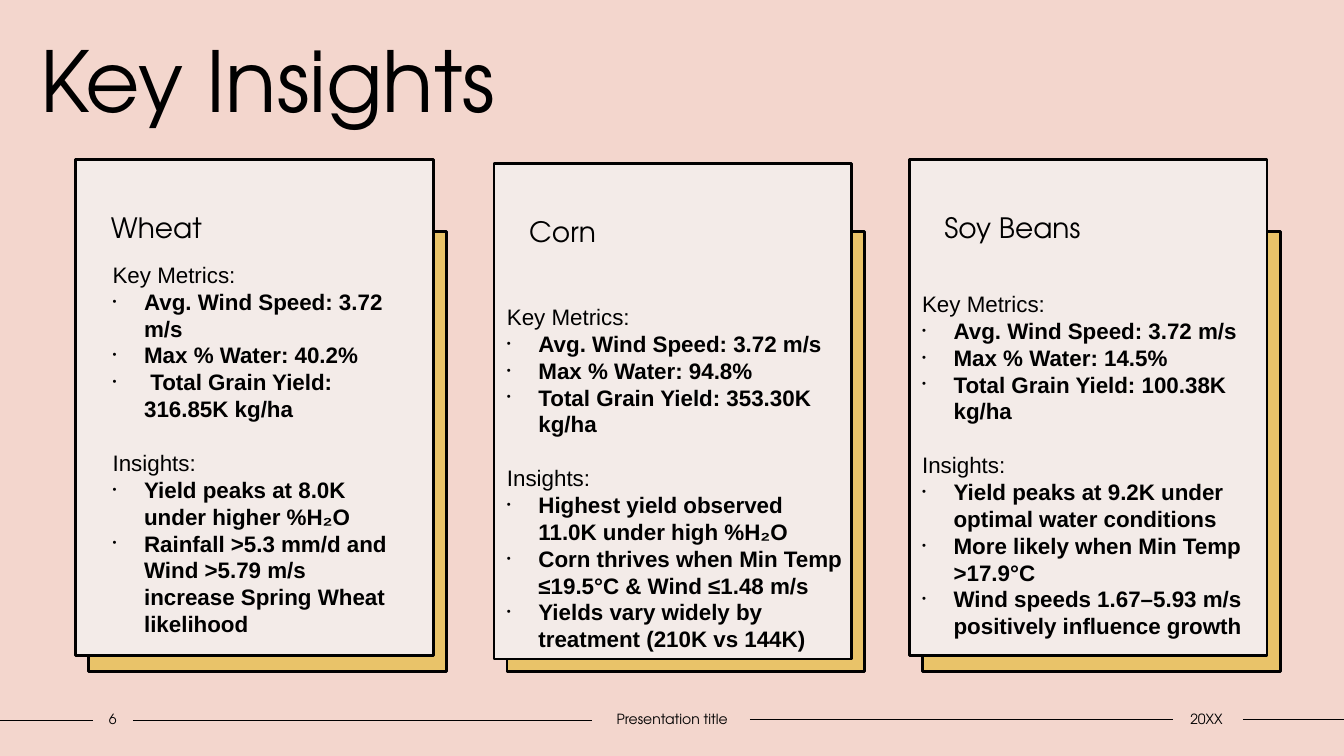
import pptx
import pptx.util
import pptx.dml.color
import pptx.enum.shapes
import pptx.enum.text
import lxml.etree

Pt = pptx.util.Pt
RGB = pptx.dml.color.RGBColor.from_string
SHAPE = pptx.enum.shapes.MSO_SHAPE
LINK = pptx.enum.shapes.MSO_CONNECTOR
ANCHOR = pptx.enum.text.MSO_ANCHOR
ALIGN = pptx.enum.text.PP_ALIGN

TITLE = "Key Insights"
CROPS = [
    {
        "name": "Wheat", "left": 54, "top": 113.8, "text": (73.4, 182.9, 216),
        "parts": [
            ("Key Metrics:", ["Avg. Wind Speed: 3.72 m/s", "Max % Water: 40.2%",
                              " Total Grain Yield: 316.85K kg/ha"]),
            ("Insights:", ["Yield peaks at 8.0K under higher %H₂O",
                           "Rainfall >5.3 mm/d and Wind >5.79 m/s increase Spring Wheat likelihood"]),
        ],
    },
    {
        "name": "Corn", "left": 352.8, "top": 116.6, "text": (355, 212.9, 255.6),
        "parts": [
            ("Key Metrics:", ["Avg. Wind Speed: 3.72 m/s", "Max % Water: 94.8%",
                              "Total Grain Yield: 353.30K kg/ha"]),
            ("Insights:", ["Highest yield observed 11.0K under high %H₂O",
                           "Corn thrives when Min Temp ≤19.5°C & Wind ≤1.48 m/s",
                           "Yields vary widely by treatment (210K vs 144K)"]),
        ],
    },
    {
        "name": "Soy Beans", "left": 649.4, "top": 113.8, "text": (651.6, 203.6, 247),
        "parts": [
            ("Key Metrics:", ["Avg. Wind Speed: 3.72 m/s", "Max % Water: 14.5%",
                              "Total Grain Yield: 100.38K kg/ha"]),
            ("Insights:", ["Yield peaks at 9.2K under optimal water conditions",
                           "More likely when Min Temp >17.9°C",
                           "Wind speeds 1.67–5.93 m/s positively influence growth"]),
        ],
    },
]
FOOT = [("6", 66.2, 28.8), ("Presentation title", 422.6, 115.2), ("20XX", 836.6, 50.4)]
RULES = [(0, 66.2, 514.8), (95, 422.6, 514.8), (535.7, 838, 514.1), (887.8, 960, 514.1)]

THEME = {
    "page": "F3D6CD", "card": "F3EBE8", "back": "E9C369", "ink": "000000",
    "head": {"name": "TeX Gyre Adventor", "size": Pt(60)},
    "crop": {"name": "TeX Gyre Adventor", "size": Pt(20)},
    "foot": {"name": "TeX Gyre Adventor", "size": Pt(10)},
    "lead": {"name": "Arial", "size": Pt(16), "bold": False},
    "point": {"name": "Arial", "size": Pt(16), "bold": True},
}
CARD = (255.6, 354.2)
BACK = {"top": 165.6, "tall": 313.9, "shift": 9.4}
STEP = 19.2
HANG = 22.5


def put(item, vals):
    for key, val in vals.items():
        setattr(item, key, val)


def pad(frame, left, top, right, low):
    put(frame, {"word_wrap": True, "margin_left": Pt(left), "margin_top": Pt(top),
                "margin_right": Pt(right), "margin_bottom": Pt(low)})


def write(par, text, style, **form):
    put(par, form)
    run = par.add_run()
    run.text = text
    put(run.font, THEME[style])
    run.font.color.rgb = RGB(THEME["ink"])


def text_box(slide, left, top, wide, tall):
    frame = slide.shapes.add_textbox(Pt(left), Pt(top), Pt(wide), Pt(tall)).text_frame
    pad(frame, 7.2, 3.6, 7.2, 3.6)
    return frame


def panel(slide, left, top, tall, fill):
    box = slide.shapes.add_shape(SHAPE.RECTANGLE, Pt(left), Pt(top), Pt(CARD[0]), Pt(tall))
    box.shadow.inherit = False
    box.fill.solid()
    box.fill.fore_color.rgb = RGB(fill)
    box.line.color.rgb = RGB(THEME["ink"])
    box.line.width = Pt(2)
    return box


def child(node, tag, **vals):
    return lxml.etree.SubElement(node, pptx.oxml.ns.qn(tag), **vals)


def dot(par):
    props = par._p.get_or_add_pPr()
    props.set("marL", str(Pt(HANG)))
    props.set("indent", str(-Pt(HANG)))
    child(props, "a:buSzPct", val="50000")
    child(props, "a:buFont", typeface="Arial")
    child(props, "a:buChar", char="•")


def rule(slide, start, end, y):
    line = slide.shapes.add_connector(LINK.STRAIGHT, Pt(start), Pt(y), Pt(end), Pt(y))
    line.line.color.rgb = RGB(THEME["ink"])
    line.line.width = Pt(1)
    child(line._element.spPr, "a:effectLst")


def card(slide, crop):
    left = crop["left"]
    panel(slide, left + BACK["shift"], BACK["top"], BACK["tall"], THEME["back"])
    frame = panel(slide, left, crop["top"], CARD[1], THEME["card"]).text_frame
    pad(frame, 25.2, 39.6, 7.2, 3.6)
    frame.vertical_anchor = ANCHOR.TOP
    write(frame.paragraphs[0], crop["name"], "crop", alignment=ALIGN.LEFT,
          line_spacing=0.9, space_before=Pt(10))
    x, y, wide = crop["text"]
    frame = text_box(slide, x, y, wide, 13 * STEP + 7.2)
    for i, (lead, points) in enumerate(crop["parts"]):
        par = frame.add_paragraph() if i else frame.paragraphs[0]
        write(par, lead, "lead", line_spacing=Pt(STEP), space_before=Pt(i * STEP))
        for point in points:
            par = frame.add_paragraph()
            write(par, point, "point", line_spacing=Pt(STEP), space_before=Pt(0))
            dot(par)


def main():
    deck = pptx.Presentation()
    put(deck, {"slide_width": Pt(960), "slide_height": Pt(540)})
    slide = deck.slides.add_slide(deck.slide_layouts[6])
    slide.background.fill.solid()
    slide.background.fill.fore_color.rgb = RGB(THEME["page"])
    for start, end, y in RULES:
        rule(slide, start, end, y)
    frame = text_box(slide, 21.6, 16.6, 780.5, 79.9)
    write(frame.paragraphs[0], TITLE, "head")
    for crop in CROPS:
        card(slide, crop)
    for text, left, wide in FOOT:
        frame = text_box(slide, left, 504, wide, 19.4)
        pad(frame, 0, 3.6, 0, 3.6)
        frame.vertical_anchor = ANCHOR.MIDDLE
        write(frame.paragraphs[0], text, "foot", alignment=ALIGN.CENTER)
    deck.save("out.pptx")


if __name__ == "__main__":
    main()
